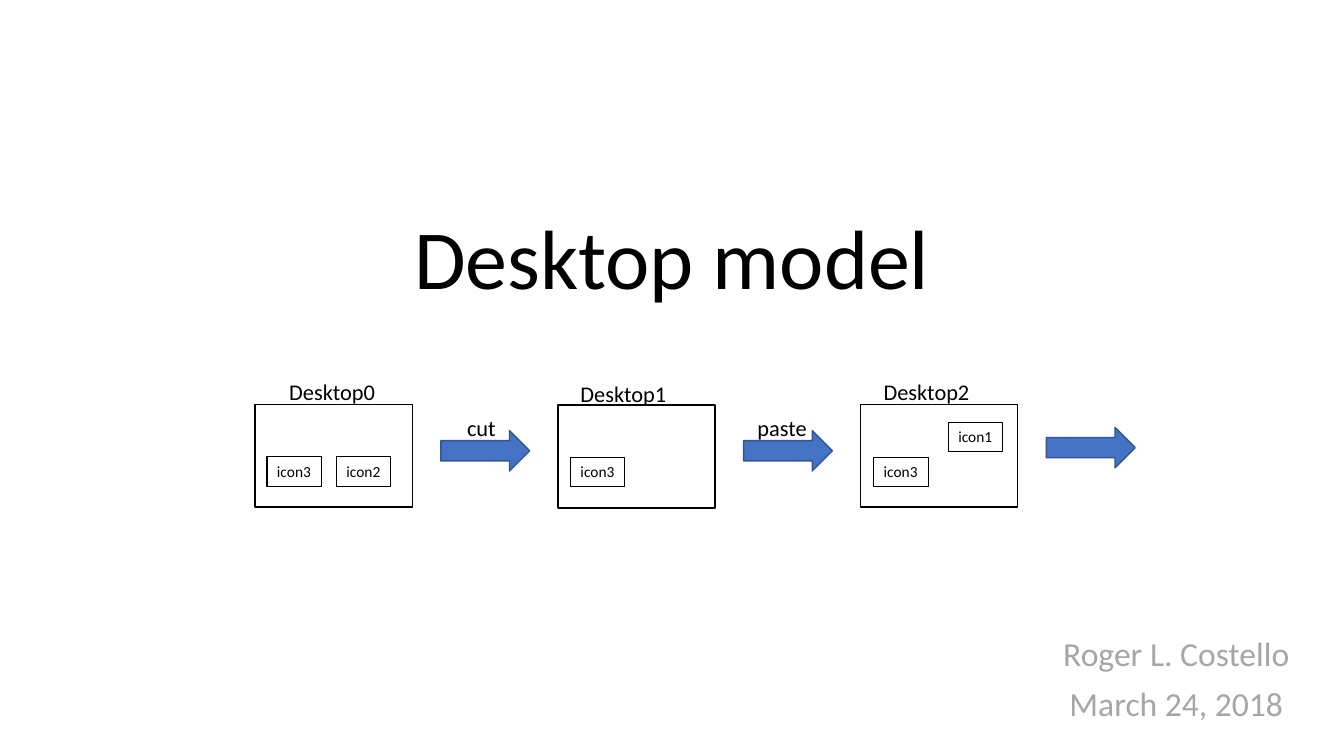
from pptx import Presentation
from pptx.dml.color import RGBColor
from pptx.enum.shapes import MSO_SHAPE as Preset
from pptx.enum.text import MSO_ANCHOR as Anchor, MSO_AUTO_SIZE as AutoSize, PP_ALIGN as Align
from pptx.util import Cm, Pt

INK, GREY, BLUE, NAVY = "000000", "A6A6A6", "4472C4", "325491"
PITCH = 7.63


def write(shape, lines, size, color=INK, align=Align.LEFT, spacing=None, before=None, **frame_format):
    frame = shape.text_frame
    settings = {"word_wrap": False, "auto_size": AutoSize.NONE, "vertical_anchor": Anchor.TOP}
    for key, value in {**settings, **frame_format}.items():
        setattr(frame, key, value)
    frame.text = lines
    for paragraph in frame.paragraphs:
        layout = {"alignment": align, "line_spacing": spacing, "space_before": before}
        for key, value in layout.items():
            setattr(paragraph, key, value)
        for key, value in {"name": "Calibri", "size": Pt(size)}.items():
            setattr(paragraph.runs[0].font, key, value)
        paragraph.runs[0].font.color.rgb = RGBColor.from_string(color)


def draw(preset, box, line, width, fill=None):
    shape = slide.shapes.add_shape(preset, *map(Cm, box))
    shape.shadow.inherit = False
    shape.line.color.rgb = RGBColor.from_string(line)
    shape.line.width = Pt(width)
    if fill:
        shape.fill.solid()
        shape.fill.fore_color.rgb = RGBColor.from_string(fill)
    else:
        shape.fill.background()
    return shape


deck = Presentation()
deck.slide_width, deck.slide_height = Cm(33.87), Cm(19.05)
slide = deck.slides.add_slide(deck.slide_layouts[6])

title = slide.shapes.add_textbox(Cm(4.23), Cm(4.27), Cm(25.4), Cm(3.61))
write(title, "Desktop model", 60, align=Align.CENTER, spacing=0.9,
      word_wrap=True, vertical_anchor=Anchor.BOTTOM)

byline = slide.shapes.add_textbox(Cm(26.04), Cm(15.93), Cm(7.21), Cm(2.59))
write(byline, "Roger L. Costello\nMarch 24, 2018", 24, GREY, Align.CENTER, 0.9, Pt(10), word_wrap=True)

desktops = [
    (10.19, "Desktop0", 0.61, 9.4, [("icon3", 0.3, 11.51), ("icon2", 2.05, 11.51)]),
    (10.21, "Desktop1", 0.32, 9.45, [("icon3", 0.32, 11.53)]),
    (10.19, "Desktop2", 0.33, 9.4, [("icon3", 0.33, 11.53), ("icon1", 2.21, 10.64)]),
]
actions = [(10.85, "cut", 0.41, 1.24), (10.85, "paste", 0.1, 1.78), (10.77, None, 0, 0)]

for step, (desktop, action) in enumerate(zip(desktops, actions)):
    desktop_left = 6.43 + step * PITCH
    desktop_top, caption, caption_shift, caption_top, icons = desktop
    draw(Preset.RECTANGLE, (desktop_left, desktop_top, 3.96, 2.59), INK, 1)
    name = slide.shapes.add_textbox(Cm(desktop_left + caption_shift), Cm(caption_top), Cm(2.69), Cm(0.94))
    write(name, caption, 16, auto_size=AutoSize.SHAPE_TO_FIT_TEXT)
    for label, shift, top in icons:
        icon = draw(Preset.RECTANGLE, (desktop_left + shift, top, 1.37, 0.74), INK, 0.75)
        write(icon, label, 11, auto_size=AutoSize.SHAPE_TO_FIT_TEXT)

    arrow_left = 11.11 + step * PITCH
    arrow_top, verb, verb_shift, verb_width = action
    draw(Preset.RIGHT_ARROW, (arrow_left, arrow_top, 2.24, 1.02), NAVY, 1, BLUE)
    if verb:
        operation = slide.shapes.add_textbox(Cm(arrow_left + verb_shift), Cm(10.31), Cm(verb_width), Cm(0.94))
        write(operation, verb, 16, auto_size=AutoSize.SHAPE_TO_FIT_TEXT)

deck.save("out.pptx")
